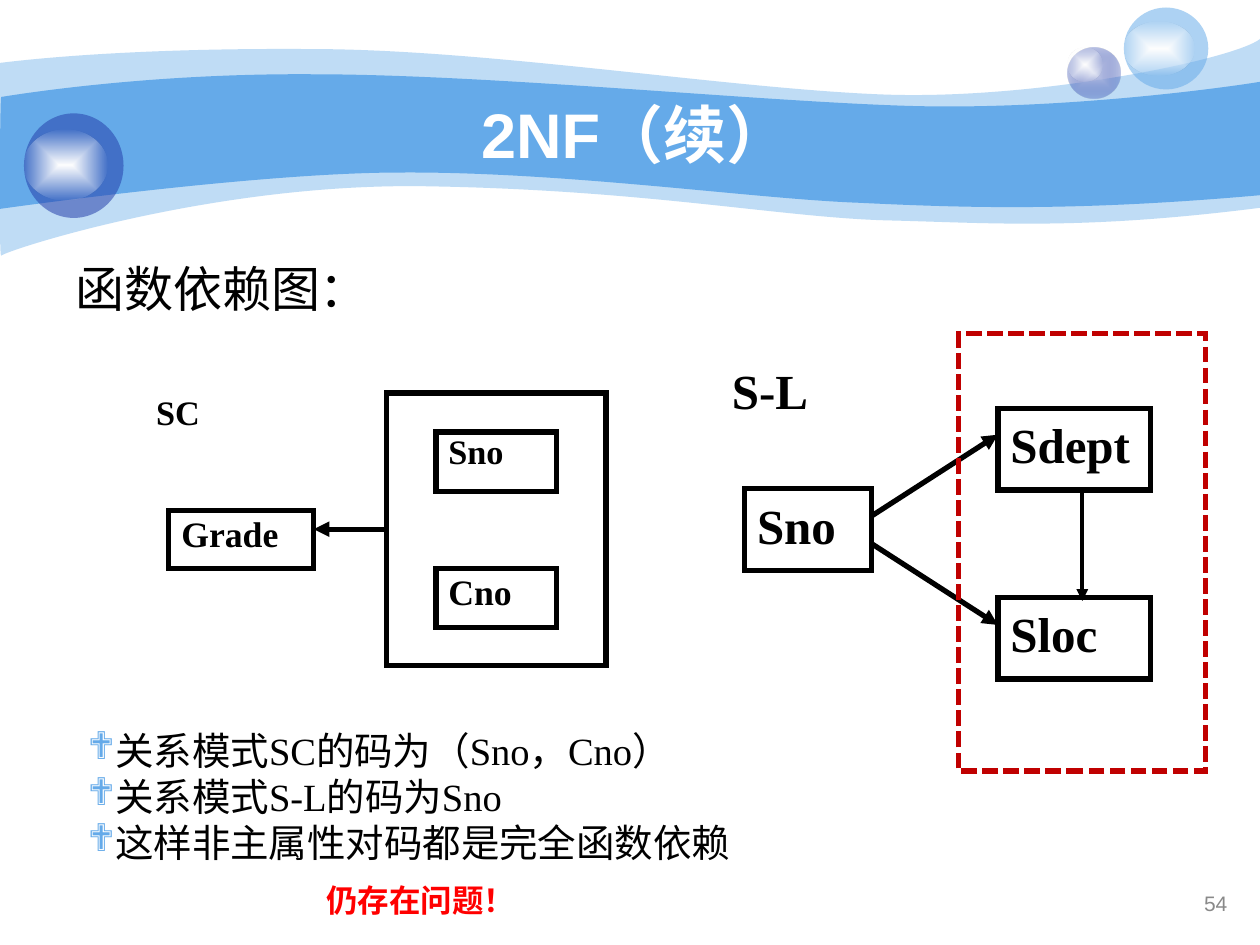
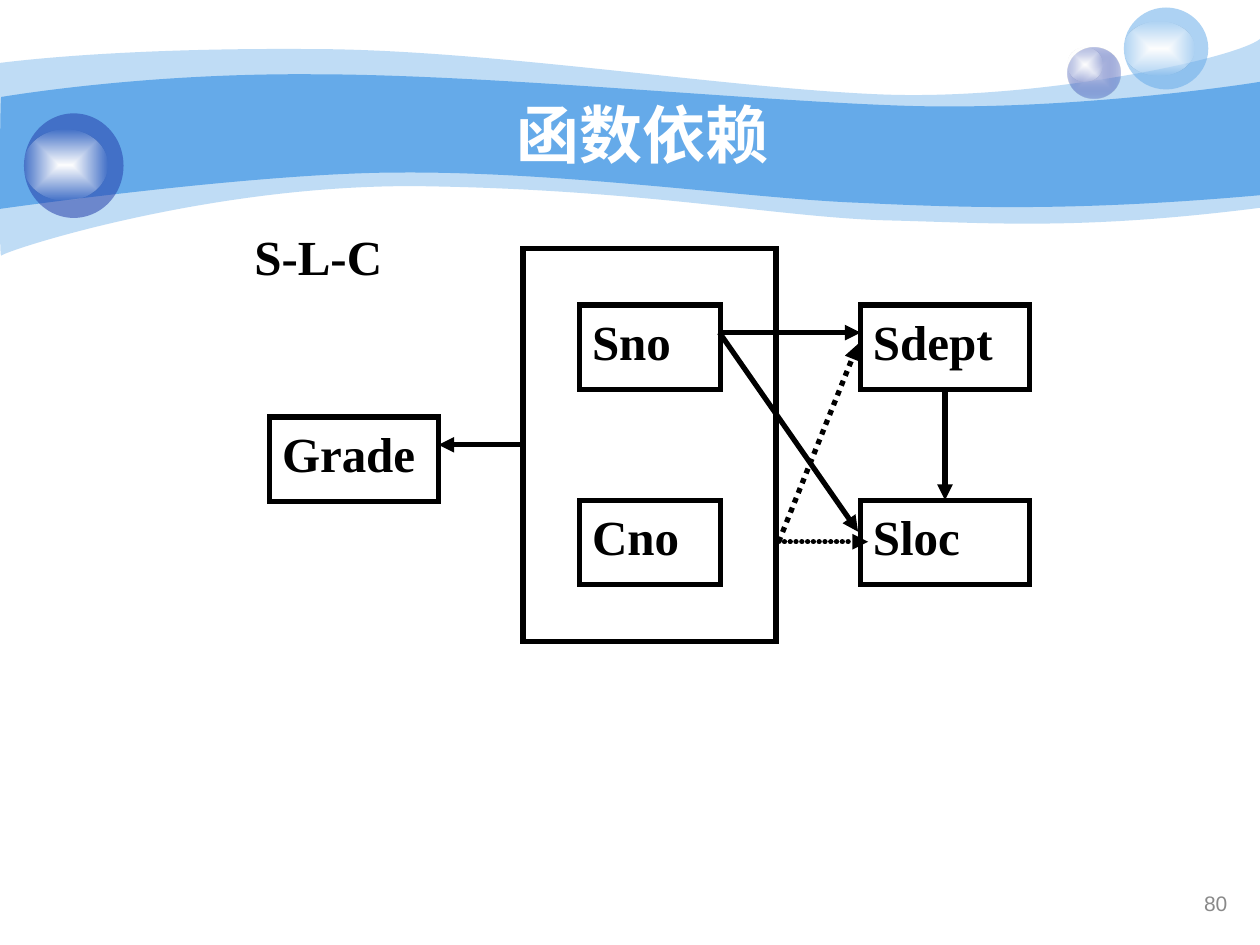
from dataclasses import dataclass

from pptx import Presentation
from pptx.dml.color import RGBColor
from pptx.enum.dml import MSO_LINE_DASH_STYLE as Dash
from pptx.enum.shapes import MSO_CONNECTOR as Connector
from pptx.enum.shapes import MSO_SHAPE as Shape
from pptx.enum.text import MSO_ANCHOR as Anchor
from pptx.enum.text import PP_ALIGN as Align
from pptx.oxml import parse_xml
from pptx.oxml.ns import nsdecls, qn
from pptx.util import Pt

PX = 9144
TOP, LEFT, BOTTOM = 0, 1, 2


@dataclass(frozen=True)
class Theme:
    """Colours, fonts and type sizes shared by the slides."""
    sky: str = "65AAE9"
    navy: str = "233DA9"
    lilac: str = "C7CEE9"
    white: str = "FFFFFF"
    ink: str = "000000"
    alert: str = "FF0000"
    frame: str = "C00000"
    muted: str = "898989"
    sans: str = "Arial"
    serif: str = "Times New Roman"
    symbols: str = "Wingdings"
    title: float = 36
    large: float = 28
    note: float = 22
    medium: float = 20.4
    small: float = 19.6
    warning: float = 18
    page: float = 12


THEME = Theme()


@dataclass(frozen=True)
class Box:
    """A rectangle in px that can hand out boxes and points inside itself."""
    left: int
    top: int
    width: int
    height: int

    def inner(self, left, top, width, height):
        """Return a box placed relative to this one."""
        return Box(self.left + left, self.top + top, width, height)

    def point(self, x, y):
        """Return a point of this box in EMU."""
        return (self.left + x) * PX, (self.top + y) * PX

    def emu(self):
        """Return left, top, width and height in EMU."""
        return [side * PX for side in (self.left, self.top, self.width, self.height)]


PAGE = Box(0, 0, 1000, 750)
BACK_WAVE = [
    [(0, 50)], [(24, 47), (107, 38), (247, 39)], [(386, 39), (575, 70), (699, 75)],
    [(822, 80), (980, 47), (1000, 31)], [(1000, 165)],
    [(858, 183), (787, 177), (705, 175)], [(622, 173), (515, 151), (343, 148)],
    [(172, 144), (4, 199), (1, 203)], [(-1, 208), (0, 75), (0, 50)],
]
FRONT_WAVE = [
    [(1, 77)], [(2, 77), (110, 58), (248, 59)], [(386, 59), (595, 80), (718, 84)],
    [(841, 88), (976, 69), (1000, 65)], [(1000, 155)],
    [(853, 168), (765, 165), (682, 161)], [(599, 158), (447, 136), (317, 137)],
    [(203, 137), (-2, 166), (-1, 166)], [(0, 166), (0, 77), (1, 77)],
]


def apply_formats(target, formats):
    """Set every attribute named in formats on target."""
    for name, value in formats.items():
        setattr(target, name, value)


def paint(shape, *stops):
    """Fill with one (colour, opacity) pair, or a centred gradient of several."""
    colours = [f'<a:srgbClr val="{colour}"><a:alpha val="{opacity * 1000}"/></a:srgbClr>'
               for colour, opacity in stops]
    if len(colours) == 1:
        xml = f'<a:solidFill {nsdecls("a")}>{colours[0]}</a:solidFill>'
    else:
        marks = "".join(f'<a:gs pos="{100000 * i // (len(colours) - 1)}">{colour}</a:gs>'
                        for i, colour in enumerate(colours))
        xml = (f'<a:gradFill {nsdecls("a")} rotWithShape="1"><a:gsLst>{marks}</a:gsLst>'
               '<a:path path="rect"><a:fillToRect l="50000" t="50000" r="50000" b="50000"/>'
               '</a:path></a:gradFill>')
    shape.fill.background()
    properties = shape.element.spPr
    properties.replace(properties.find(qn("a:noFill")), parse_xml(xml))
    shape.line.fill.background()
    shape.shadow.inherit = False


def add_wave(slide, box, outline, opacity):
    """Draw one band whose three-point parts are cubic curves."""
    start, *rest = [box.point(*point) for part in outline for point in part]
    builder = slide.shapes.build_freeform(*start, scale=1.0)
    builder.add_line_segments(rest, close=True)
    wave = builder.convert_to_shape()
    segments = iter(list(wave.element.iter(qn("a:lnTo"))))
    for part in outline[1:]:
        pieces = [next(segments) for _ in part]
        if len(pieces) == 3:
            curve = parse_xml(f'<a:cubicBezTo {nsdecls("a")}/>')
            pieces[0].addprevious(curve)
            for piece in pieces:
                curve.append(piece[0])
                piece.getparent().remove(piece)
    paint(wave, (THEME.sky, opacity))


def add_bubble(slide, box, shine, *stops):
    """Draw a ball with a white shine inside it."""
    glow = ((THEME.white, 100), (THEME.white, 0))
    for area, fill in ((box, stops), (box.inner(*shine), glow)):
        paint(slide.shapes.add_shape(Shape.OVAL, *area.emu()), *fill)


def add_bullet(paragraph):
    """Give a paragraph a coloured diamond bullet."""
    properties = paragraph._p.get_or_add_pPr()
    for xml in (f'<a:buClr {nsdecls("a")}><a:srgbClr val="{THEME.sky}"/></a:buClr>',
                f'<a:buFont {nsdecls("a")} typeface="{THEME.symbols}" charset="2"/>',
                f'<a:buChar {nsdecls("a")} char="❖"/>'):
        properties.append(parse_xml(xml))


def write(frame, lines, size, colour=THEME.ink, font=THEME.serif, bold=True,
          align=Align.JUSTIFY, anchor=Anchor.TOP, spacing=1.0, bullets=False):
    """Fill a text frame with equally styled paragraphs."""
    apply_formats(frame, {
        "word_wrap": True, "vertical_anchor": anchor,
        "margin_left": 10 * PX, "margin_right": 10 * PX,
        "margin_top": 5 * PX, "margin_bottom": 5 * PX})
    for index, line in enumerate(lines):
        paragraph = frame.paragraphs[0] if index == 0 else frame.add_paragraph()
        if bullets:
            add_bullet(paragraph)
        apply_formats(paragraph, {"alignment": align, "line_spacing": spacing})
        run = paragraph.add_run()
        run.text = line
        apply_formats(run.font, {"size": Pt(size), "name": font, "bold": bold})
        run.font.color.rgb = RGBColor.from_string(colour)


def add_label(slide, box, *lines, **style):
    """Place text without an outline."""
    write(slide.shapes.add_textbox(*box.emu()).text_frame, lines, **style)


def add_node(slide, box, text="", colour=THEME.ink, dash=None, **style):
    """Place an outlined rectangle, with text if there is any."""
    node = slide.shapes.add_shape(Shape.RECTANGLE, *box.emu())
    node.shadow.inherit = False
    node.fill.background()
    node.line.color.rgb = RGBColor.from_string(colour)
    apply_formats(node.line, {"width": Pt(3), "dash_style": dash})
    node.line._get_or_add_ln().append(
        parse_xml(f'<a:miter {nsdecls("a")} lim="800000"/>'))
    if text:
        write(node.text_frame, [text], **style)
    return node


def add_arrow(slide, box, start, end, width=3, dash=None, fine_dots=False,
              source=None, target=None):
    """Draw an arrow; source and target are (node, side) pairs to join."""
    arrow = slide.shapes.add_connector(
        Connector.STRAIGHT, *box.point(*start), *box.point(*end))
    if source:
        arrow.begin_connect(*source)
    if target:
        arrow.end_connect(*target)
    arrow.line.color.rgb = RGBColor.from_string(THEME.ink)
    apply_formats(arrow.line, {"width": Pt(width), "dash_style": dash})
    line = arrow.line._get_or_add_ln()
    if fine_dots:
        line.set("cap", "rnd")
        line.append(parse_xml(f'<a:custDash {nsdecls("a")}>'
                              '<a:ds d="100000" sp="10000"/></a:custDash>'))
    line.append(parse_xml(f'<a:tailEnd {nsdecls("a")} type="triangle"/>'))
    arrow.element.spPr.append(parse_xml(f'<a:effectLst {nsdecls("a")}/>'))


def add_base(deck, title, page, title_shift=0):
    """Add a slide with its waves, bubbles, title and page number."""
    slide = deck.slides.add_slide(deck.slide_layouts[6])
    add_wave(slide, PAGE, BACK_WAVE, 41)
    add_wave(slide, PAGE, FRONT_WAVE, 100)
    add_bubble(slide, PAGE.inner(847, 38, 42, 40), (0, 0, 28, 27),
               (THEME.lilac, 100), (THEME.navy, 31))
    add_bubble(slide, PAGE.inner(892, 6, 67, 65), (0, 11, 56, 43), (THEME.sky, 53))
    add_bubble(slide, PAGE.inner(19, 90, 79, 83), (0, 13, 66, 56), (THEME.navy, 53))
    add_label(slide, PAGE.inner(100 + title_shift, 75, 808, 62), title, size=THEME.title,
              colour=THEME.white, font=THEME.sans, align=Align.CENTER, anchor=Anchor.MIDDLE)
    add_label(slide, PAGE.inner(751, 698, 233, 40), page, size=THEME.page,
              colour=THEME.muted, font=THEME.sans, bold=False, align=Align.RIGHT,
              anchor=Anchor.MIDDLE, spacing=0.9)
    return slide


def add_sc_diagram(slide, box):
    """Draw the dependency of Grade on the key of SC."""
    key = add_node(slide, box.inner(193, 0, 174, 216))
    add_node(slide, box.inner(232, 31, 96, 47), "Sno", size=THEME.small, spacing=0.8)
    add_node(slide, box.inner(232, 139, 96, 47), "Cno", size=THEME.medium, spacing=0.9)
    add_node(slide, box.inner(20, 93, 115, 46), "Grade", size=THEME.medium, spacing=0.9)
    add_arrow(slide, box, (193, 108), (135, 108), source=(key, LEFT))
    add_label(slide, box.inner(0, 0, 97, 46), "SC", size=THEME.small, spacing=0.8)


def add_sl_diagram(slide, box):
    """Draw the dependencies of S-L with the transitive part framed."""
    add_label(slide, box.inner(0, 16, 121, 65), "S-L", size=THEME.large)
    for text, left, top, width in (("Sno", 20, 123, 101), ("Sdept", 221, 59, 121),
                                   ("Sloc", 221, 209, 121)):
        add_node(slide, box.inner(left, top, width, 65), text, size=THEME.large)
    add_arrow(slide, box, (120, 145), (221, 80))
    add_arrow(slide, box, (120, 166), (221, 231))
    add_arrow(slide, box, (288, 126), (288, 212), width=2.25)
    add_node(slide, box.inner(190, 0, 196, 347), colour=THEME.frame, dash=Dash.SQUARE_DOT)


def add_slc_diagram(slide, box):
    """Draw the full and partial dependencies of S-L-C."""
    key = add_node(slide, box.inner(223, 22, 201, 312))
    nodes = {}
    for text, left, top, width in (("Sno", 268, 67, 112), ("Cno", 268, 222, 112),
                                   ("Grade", 22, 156, 134), ("Sdept", 491, 67, 134),
                                   ("Sloc", 491, 222, 134)):
        nodes[text] = add_node(slide, box.inner(left, top, width, 67), text, size=THEME.large)
    add_arrow(slide, box, (223, 178), (156, 178), source=(key, LEFT))
    add_arrow(slide, box, (379, 89), (491, 89))
    add_arrow(slide, box, (379, 89), (489, 247))
    add_arrow(slide, box, (426, 255), (489, 98), dash=Dash.ROUND_DOT)
    add_arrow(slide, box, (426, 255), (497, 255), fine_dots=True)
    add_arrow(slide, box, (558, 134), (558, 222),
              source=(nodes["Sdept"], BOTTOM), target=(nodes["Sloc"], TOP))
    add_label(slide, box.inner(0, 0, 159, 58), "S-L-C", size=THEME.large)


def build_second_form(deck):
    """Build the slide on second normal form."""
    slide = add_base(deck, "2NF（续）", "54")
    add_label(slide, PAGE.inner(50, 200, 900, 492), "函数依赖图：", size=THEME.large,
              font=THEME.sans, bold=False, align=Align.LEFT)
    add_label(slide, PAGE.inner(60, 572, 560, 120), "关系模式SC的码为（Sno，Cno）",
              "关系模式S-L的码为Sno", "这样非主属性对码都是完全函数依赖", size=THEME.note,
              bold=False, align=Align.LEFT, anchor=Anchor.MIDDLE, bullets=True)
    add_label(slide, PAGE.inner(249, 698, 512, 37), "仍存在问题！", size=THEME.warning,
              colour=THEME.alert, font=THEME.sans, spacing=0.9)
    add_sc_diagram(slide, PAGE.inner(114, 312, 367, 216))
    add_sl_diagram(slide, PAGE.inner(571, 265, 386, 347))


def build_dependencies(deck):
    """Build the slide on functional dependencies."""
    slide = add_base(deck, "函数依赖", "80", title_shift=6)
    add_slc_diagram(slide, PAGE.inner(192, 175, 625, 334))


def main():
    """Build and save the slides."""
    deck = Presentation()
    apply_formats(deck, {"slide_width": PAGE.width * PX, "slide_height": PAGE.height * PX})
    build_second_form(deck)
    build_dependencies(deck)
    deck.save("out.pptx")


if __name__ == "__main__":
    main()
